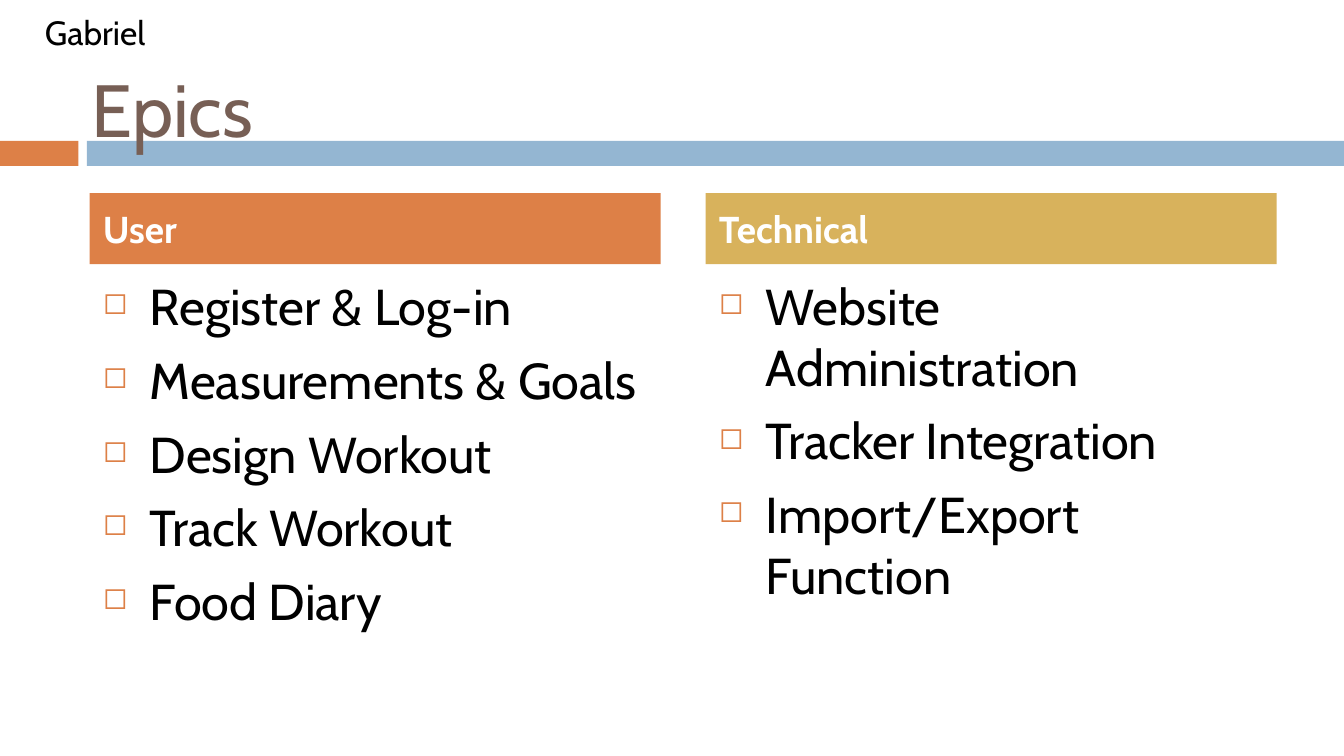
from lxml.etree import SubElement
from pptx import Presentation
from pptx.dml.color import RGBColor
from pptx.enum.shapes import MSO_SHAPE as Preset
from pptx.enum.text import MSO_ANCHOR as Anchor, MSO_AUTO_SIZE as AutoSize, PP_ALIGN as Align
from pptx.oxml.ns import qn
from pptx.util import Pt

COLOURS = {
    "blue": "94B6D2",
    "orange": "DD8047",
    "gold": "D8B25C",
    "brown": "775F55",
    "black": "000000",
    "white": "FFFFFF",
}
FONT = "Cabin"
COLUMN_WIDTH = 306
HEADING_TOP, HEADING_HEIGHT = 103.5, 38
LIST_TOP, LIST_HEIGHT = 144, 212
BULLET_INDENT = 25.2
EPICS = [
    (48, "User", "orange", ["Register & Log-in", "Measurements & Goals",
                            "Design Workout", "Track Workout", "Food Diary"]),
    (378, "Technical", "gold", ["Website Administration", "Tracker Integration",
                                "Import/Export Function"]),
]


def format_paragraph(paragraph, size, colour, bold=False):
    """Left-align a paragraph and set its font."""
    paragraph.alignment = Align.LEFT
    font = paragraph.font
    font.name, font.size, font.bold = FONT, Pt(size), bold
    font.color.rgb = RGBColor.from_string(COLOURS[colour])


def add_bullet(paragraph):
    """Give a paragraph a hanging orange square bullet."""
    properties = paragraph._p.get_or_add_pPr()
    properties.set("marL", str(Pt(BULLET_INDENT)))
    properties.set("indent", str(-Pt(BULLET_INDENT)))
    colour = SubElement(properties, qn("a:buClr"))
    SubElement(colour, qn("a:srgbClr"), val=COLOURS["orange"])
    SubElement(properties, qn("a:buSzPct"), val="60000")
    SubElement(properties, qn("a:buChar"), char="◻")


def add_block(slide, left, top, width, height, colour):
    """Add a plain filled rectangle."""
    block = slide.shapes.add_shape(Preset.RECTANGLE, Pt(left), Pt(top), Pt(width), Pt(height))
    block.shadow.inherit = False
    block.fill.solid()
    block.fill.fore_color.rgb = RGBColor.from_string(COLOURS[colour])
    block.line.fill.background()
    return block


def add_text_frame(slide, left, top, width, height):
    """Add a wrapping text box and return its frame."""
    frame = slide.shapes.add_textbox(Pt(left), Pt(top), Pt(width), Pt(height)).text_frame
    frame.word_wrap = True
    return frame


def place_title(slide, text):
    """Place the title in front of the bars."""
    title = slide.shapes.title
    title.left, title.top, title.width, title.height = Pt(42), Pt(32.5), Pt(642), Pt(51)
    frame = title.text_frame
    frame.text = text
    frame.auto_size = AutoSize.NONE
    frame.vertical_anchor = Anchor.MIDDLE
    format_paragraph(frame.paragraphs[0], 39.6, "brown")
    title.element.getparent().append(title.element)


def add_heading(slide, left, text, colour):
    """Add the coloured heading of a column."""
    heading = add_block(slide, left, HEADING_TOP, COLUMN_WIDTH, HEADING_HEIGHT, colour)
    frame = heading.text_frame
    frame.text = text
    frame.vertical_anchor = Anchor.MIDDLE
    frame.paragraphs[0].space_before = Pt(7)
    format_paragraph(frame.paragraphs[0], 20, "white", bold=True)


def add_epic_list(slide, left, epics):
    """Add the bulleted epics of a column."""
    frame = add_text_frame(slide, left, LIST_TOP, COLUMN_WIDTH, LIST_HEIGHT)
    frame.text = "\n".join(epics)
    for paragraph in frame.paragraphs:
        paragraph.space_before = Pt(7)
        add_bullet(paragraph)
        format_paragraph(paragraph, 27, "black")


def add_presenter(slide, name):
    """Add the presenter's name in the top corner."""
    frame = add_text_frame(slide, 17, 3, 86, 29)
    frame.text = name
    format_paragraph(frame.paragraphs[0], 18, "black")


def main():
    """Build and save the slide."""
    deck = Presentation()
    deck.slide_width, deck.slide_height = Pt(720), Pt(405)
    slide = deck.slides.add_slide(deck.slide_layouts[5])
    add_block(slide, 46.6, 75.5, 673.4, 13.5, "blue")
    add_block(slide, 0, 75.5, 42, 13.5, "orange")
    place_title(slide, "Epics")
    for left, heading, colour, epics in EPICS:
        add_epic_list(slide, left, epics)
        add_heading(slide, left, heading, colour)
    add_presenter(slide, "Gabriel")
    deck.save("out.pptx")


if __name__ == "__main__":
    main()
